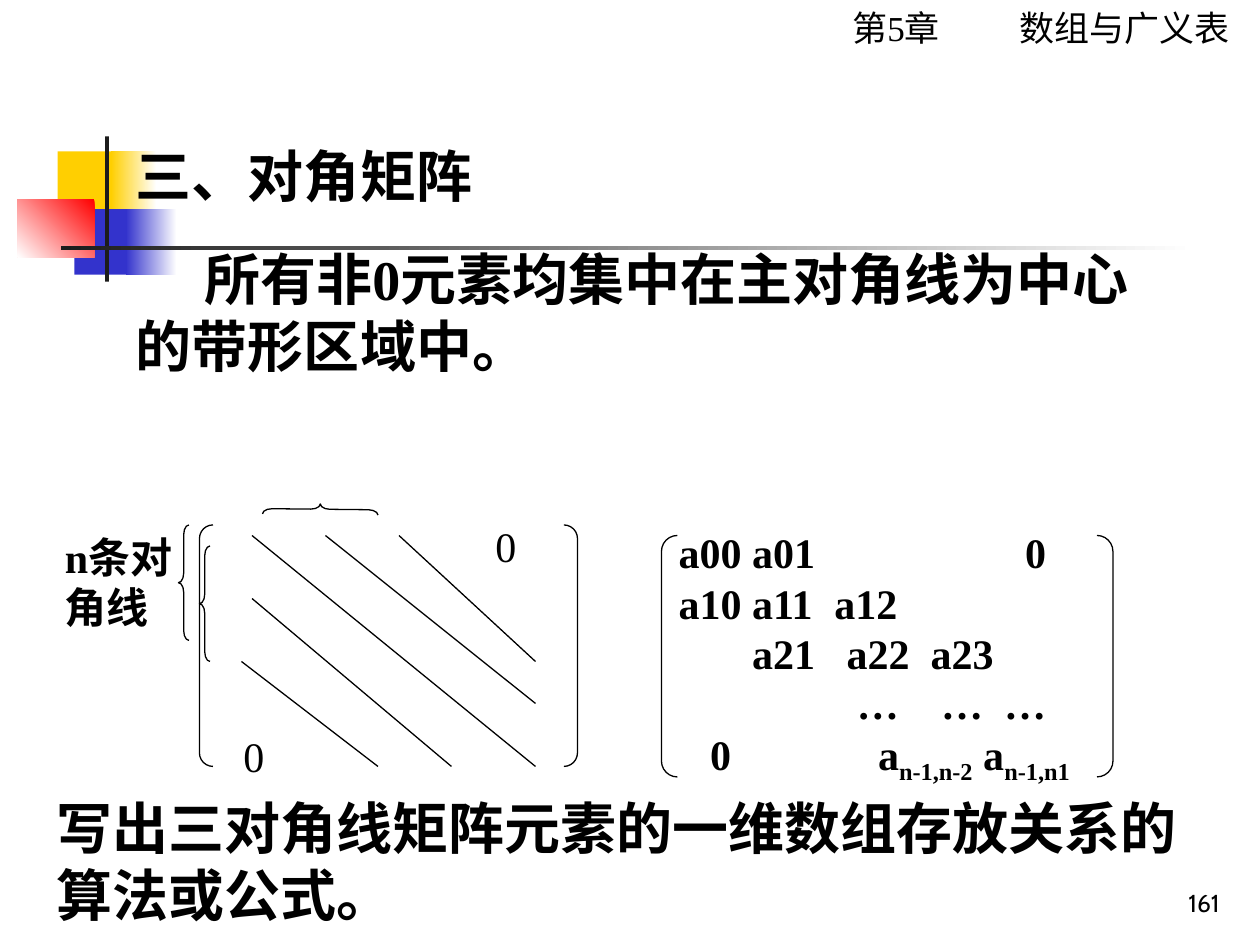
from lxml import etree
from pptx import Presentation
from pptx.dml.color import RGBColor
from pptx.enum.shapes import MSO_CONNECTOR, MSO_SHAPE
from pptx.enum.text import MSO_ANCHOR, MSO_AUTO_SIZE, PP_ALIGN
from pptx.oxml.ns import qn
from pptx.util import Pt

RECT = MSO_SHAPE.RECTANGLE
PAIR = MSO_SHAPE.DOUBLE_BRACKET
BRACE = MSO_SHAPE.LEFT_BRACE
LINE = MSO_CONNECTOR.STRAIGHT
TOP, MIDDLE, BOTTOM = MSO_ANCHOR.TOP, MSO_ANCHOR.MIDDLE, MSO_ANCHOR.BOTTOM
LEFT, RIGHT = PP_ALIGN.LEFT, PP_ALIGN.RIGHT
FIXED = MSO_AUTO_SIZE.NONE
SERIF, SANS = "Times New Roman", "Cabin"
HEX = {"ink": "000000", "white": "FFFFFF", "gold": "FFCF01",
       "blue": "3333CC", "red": "FF0000", "coal": "1C1C1C"}


def tint(name):
    """Return the named colour."""
    return RGBColor.from_string(HEX[name])


def style(para, size, bold=False, font=SERIF, align=LEFT):
    """Format a paragraph and its runs."""
    para.alignment = align
    para.space_before = Pt(0)
    for run in para.runs:
        run.font.size, run.font.bold, run.font.name = Pt(size), bold, font
        run.font.color.rgb = tint("ink")


def set_tabs(para, stops):
    """Give a paragraph left tab stops, in points."""
    tabs = etree.SubElement(para._p.get_or_add_pPr(), qn("a:tabLst"))
    for stop in stops:
        etree.SubElement(tabs, qn("a:tab"), pos=str(Pt(stop)), algn="l")


def fill_text(shape, text, size, bold=False, font=SERIF, align=LEFT, anchor=TOP):
    """Put one formatted paragraph in a shape and return it."""
    frame = shape.text_frame
    frame.word_wrap, frame.auto_size = True, FIXED
    frame.vertical_anchor = anchor
    frame.text = text
    para = frame.paragraphs[0]
    style(para, size, bold, font, align)
    return para


def add_text(slide, box, text, size, **look):
    """Add a text box and return its paragraph."""
    shape = slide.shapes.add_textbox(*map(Pt, box))
    return fill_text(shape, text, size, **look)


def add_block(slide, box, stops, angle=0):
    """Add a borderless block, plain or with a two-colour fade."""
    shape = slide.shapes.add_shape(RECT, *map(Pt, box))
    shape.shadow.inherit = False
    shape.line.fill.background()
    if len(stops) == 1:
        shape.fill.solid()
        shape.fill.fore_color.rgb = tint(stops[0])
        return
    shape.fill.gradient()
    shape.fill.gradient_angle = angle
    for stop, name in zip(shape.fill.gradient_stops, stops):
        stop.color.rgb = tint(name)


def add_curve(slide, kind, box, bend, turn=0):
    """Add an outlined bracket pair or brace."""
    shape = slide.shapes.add_shape(kind, *map(Pt, box))
    shape.shadow.inherit = False
    shape.fill.background()
    shape.line.color.rgb, shape.line.width = tint("ink"), Pt(0.75)
    shape.adjustments[0] = bend
    shape.rotation = turn
    return shape


def add_line(slide, start, end):
    """Add a thin straight line."""
    line = slide.shapes.add_connector(LINE, *map(Pt, start + end))
    line.line.color.rgb, line.line.width = tint("ink"), Pt(0.75)
    etree.SubElement(line._element.spPr, qn("a:effectLst"))


def add_motif(slide, box):
    """Draw the coloured blocks and the crossed rules."""
    left, top, width, high = box
    for x, y, wide, tall, stops, angle in (
            (23, 8.5, 34.5, 37.5, ["gold"], 0),
            (53.5, 8.5, 26, 37.5, ["white", "gold"], 180),
            (32.5, 41.5, 33, 37.5, ["blue"], 0),
            (62, 41.5, 29, 37.5, ["white", "blue"], 180),
            (0, 36, 44, 33, ["red", "white"], 225),
            (50, 0, 2.25, high, ["coal"], 0),
            (25, 62.5, width - 25, 2.25, ["white", "coal"], 180)):
        add_block(slide, (left + x, top + y, wide, tall), stops, angle)


def add_intro(slide, box):
    """Place the heading and the definition in the placeholders."""
    left, top, width, high = box
    title, body = slide.placeholders
    for shape, y, tall in (title, 0, 46), (body, 59, high - 59):
        shape.left, shape.top = Pt(left), Pt(top + y)
        shape.width, shape.height = Pt(width), Pt(tall)
        slide.shapes.element.append(shape.element)
    fill_text(title, "三、对角矩阵", 32, bold=True)
    para = fill_text(body, "所有非0元素均集中在主对角线为中心的带形区域中。", 32, bold=True)
    props = para._p.get_or_add_pPr()
    props.set("marL", "0")
    props.set("indent", str(Pt(39)))
    etree.SubElement(props, qn("a:buNone"))


def add_band(slide, box):
    """Draw the band matrix with its diagonals, braces and label."""
    left, top, width, high = box
    add_curve(slide, PAIR, box, 0.056)
    for x, y, end, foot in ((30, 6, 192, 138), (30, 42, 144, 138),
                            (72, 6, 192, 102), (24, 78, 102, 138),
                            (114, 6, 192, 78)):
        add_line(slide, (left + x, top + y), (left + end, top + foot))
    for x, y in (18, 114), (162, -6):
        add_text(slide, (left + x, top + y, 48, 36), "0", 24)
    for x, y, turn in (-12, 0, 0), (66, -42, 90.6), (0, 12, 0):
        add_curve(slide, BRACE, (left + x, top + y, 6, 66), 0.92, turn)
    add_text(slide, (left - 84, top, 78, 94), "n条对角线", 24, bold=True)


def add_matrix(slide, box):
    """Write the tridiagonal matrix, with indices between underscores lowered."""
    rows = (((0, "a00"), (42, "a01"), (198, "0")),
            ((0, "a10"), (42, "a11"), (89, "a12")),
            ((42, "a21"), (96, "a22"), (144, "a23")),
            ((102, "…"), (150, "…"), (186, "…")),
            ((18, "0"), (114, "a_n-1,n-2_ a_n-1,n1")))
    shape = add_curve(slide, PAIR, box, 0.066)
    para = fill_text(shape, "", 24, anchor=MIDDLE)
    for num, row in enumerate(rows):
        if num:
            para = shape.text_frame.add_paragraph()
        text = "".join("\t" * (stop > 0) + cell for stop, cell in row)
        for part, piece in enumerate(text.split("_")):
            run = para.add_run()
            run.text = piece
            if part % 2:
                run.font._element.set("baseline", "-25000")
        style(para, 24, bold=True)
        set_tabs(para, [stop for stop, cell in row if stop])


def main():
    """Build the slide and save it."""
    deck = Presentation()
    deck.slide_width, deck.slide_height = Pt(720), Pt(540)
    slide = deck.slides.add_slide(deck.slide_layouts[1])
    add_motif(slide, (10, 78, 673, 83))
    head = add_text(slide, (480, 0, 240, 32), "第5章\t数组与广义表", 20)
    set_tabs(head, [95.5])
    add_intro(slide, (70.5, 77, 594, 143))
    add_band(slide, (114, 300, 216, 138))
    add_matrix(slide, (378, 306, 258, 138))
    add_text(slide, (25, 450, 669, 84),
             "写出三对角线矩阵元素的一维数组存放关系的算法或公式。", 32, bold=True)
    add_text(slide, (554, 492, 150, 36), "161", 14,
             font=SANS, align=RIGHT, anchor=BOTTOM)
    deck.save("out.pptx")


if __name__ == "__main__":
    main()
